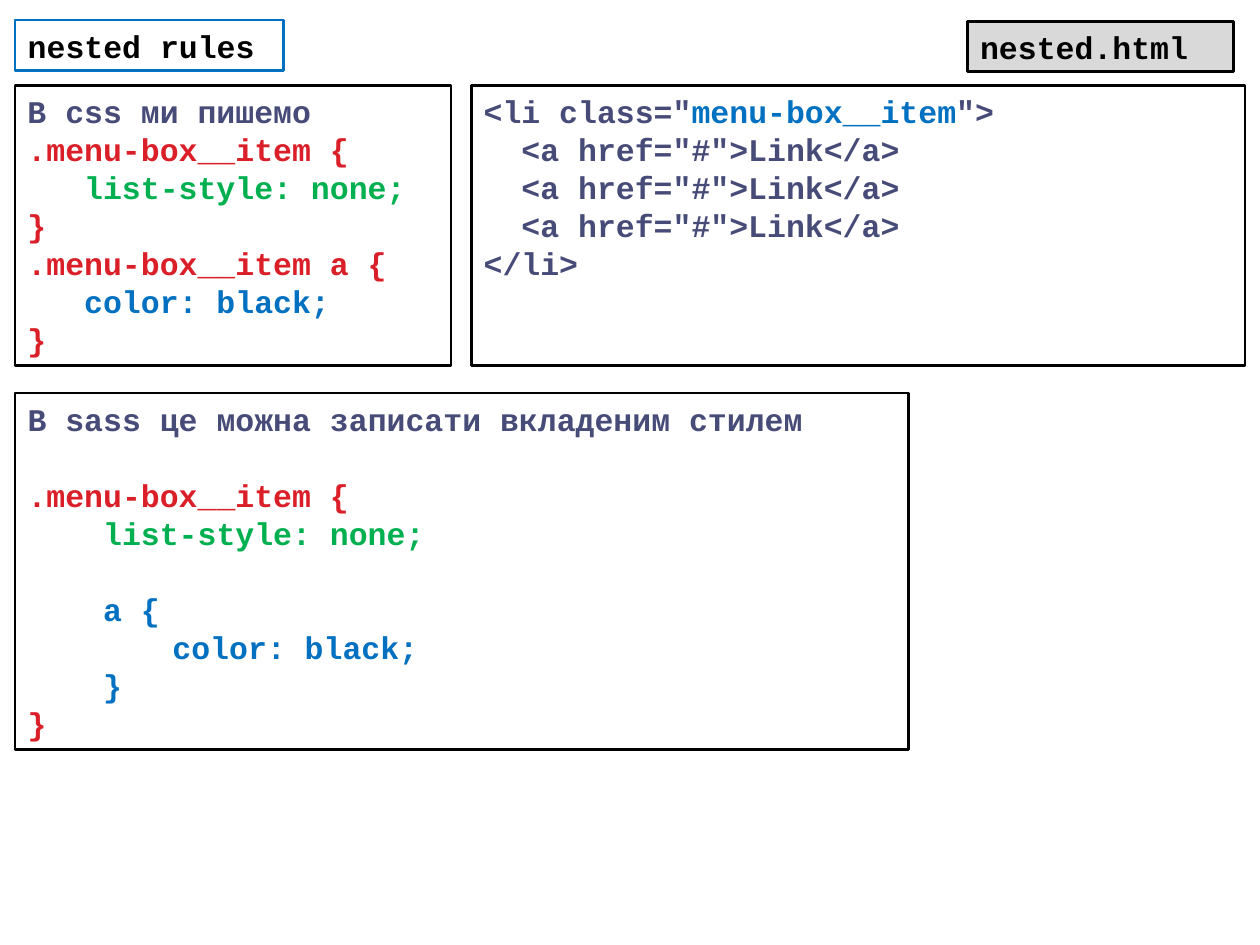
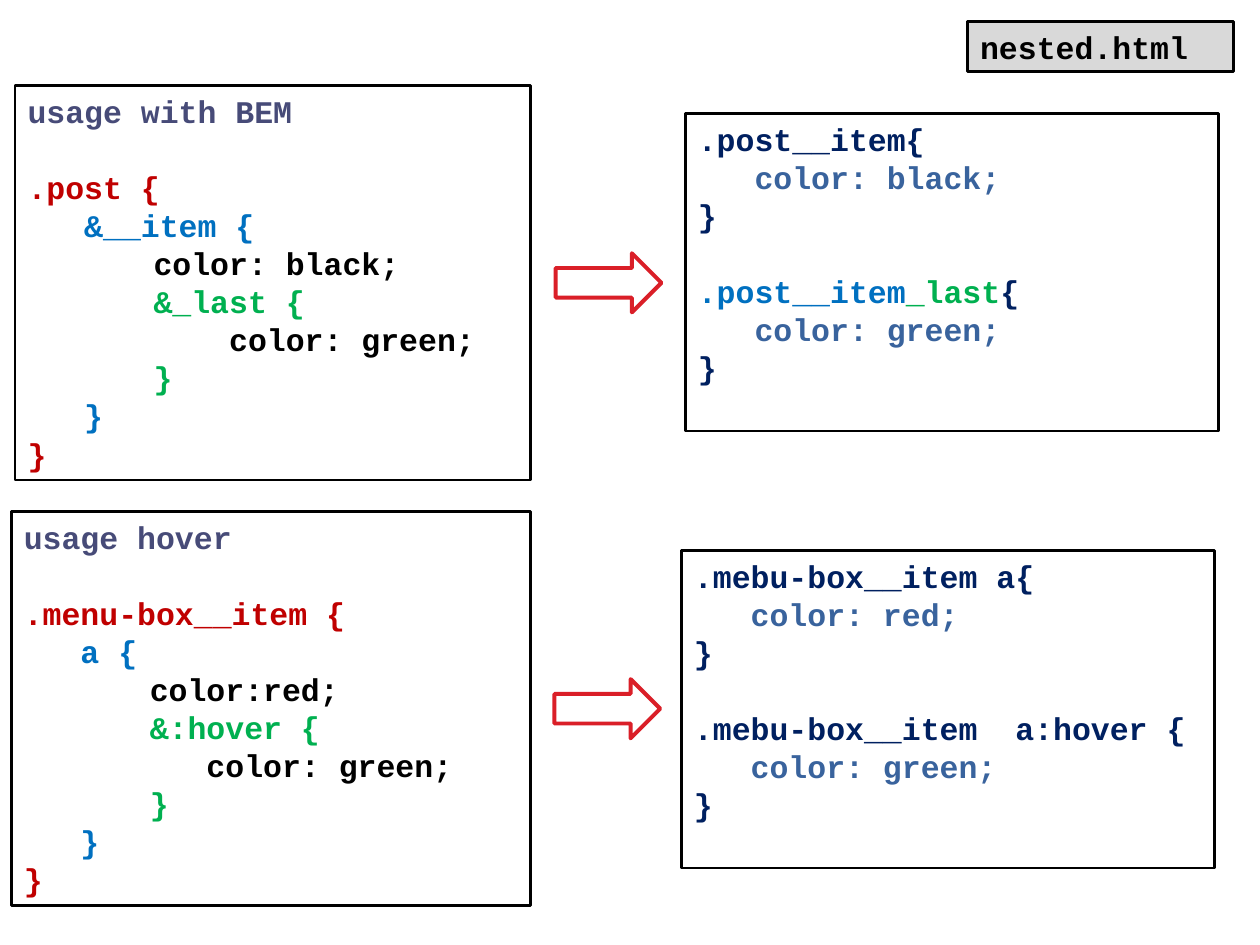
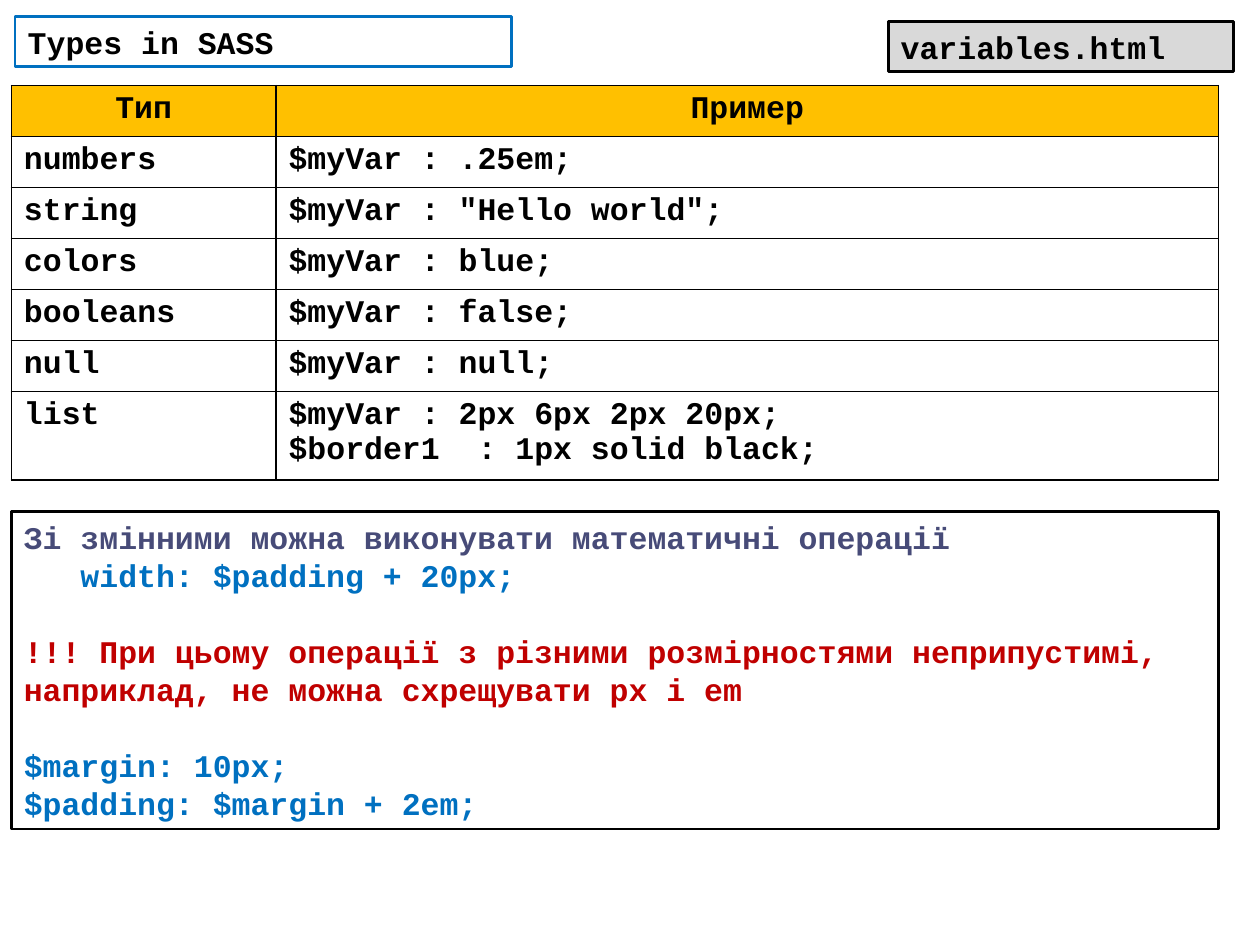
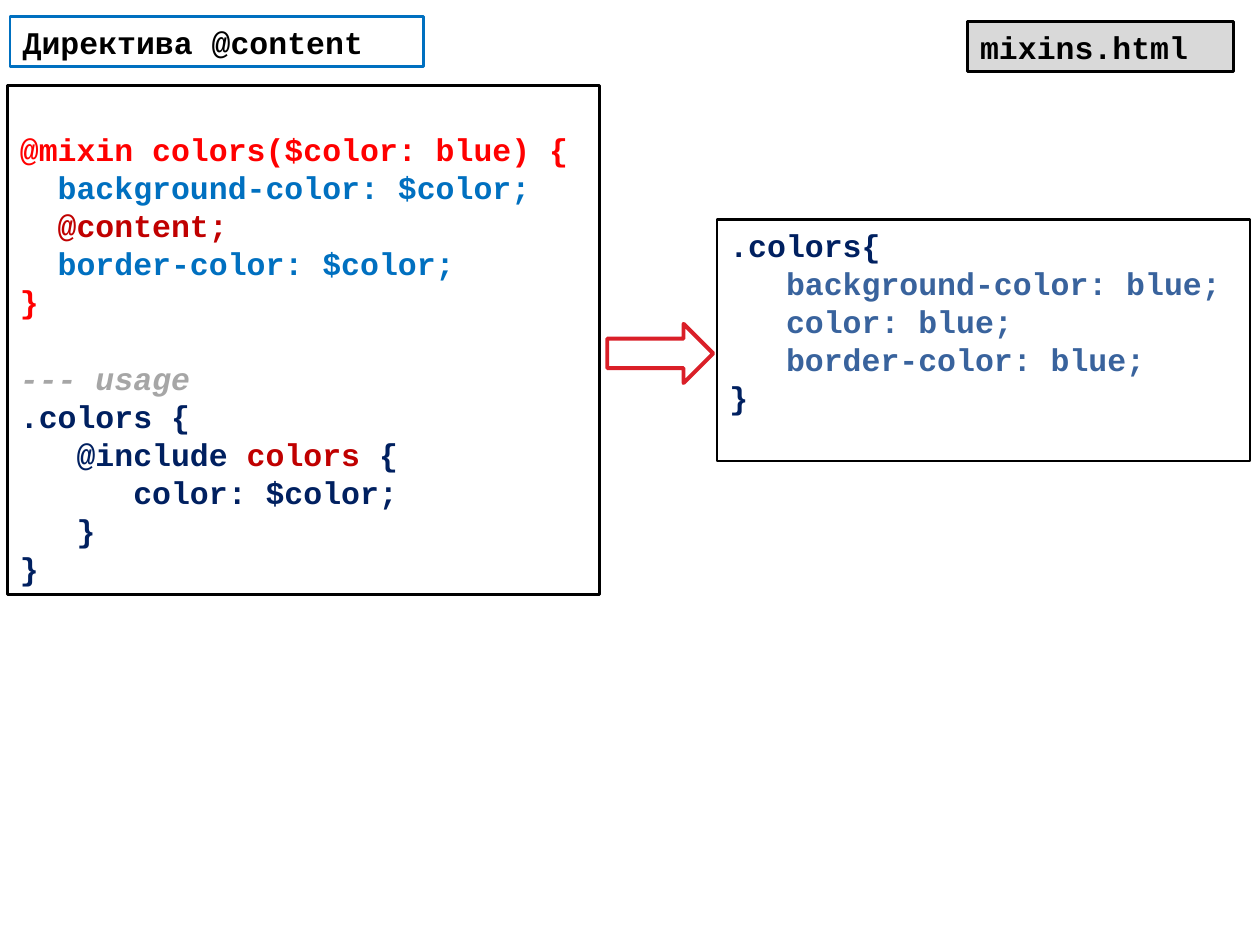
import dataclasses

import pptx
import pptx.dml.color
import pptx.enum.shapes
import pptx.enum.text
import pptx.oxml
import pptx.oxml.ns
import pptx.util

Inches = pptx.util.Inches
Pt = pptx.util.Pt
Shapes = pptx.enum.shapes.MSO_SHAPE
Align = pptx.enum.text.PP_ALIGN
Anchor = pptx.enum.text.MSO_ANCHOR


@dataclasses.dataclass(frozen=True)
class Theme:
    font: str = "Courier New"
    size: float = 18
    line_pitch: float = 21.75
    border: float = 1.5
    arrow_border: float = 2.25
    cell_border: float = 1
    black: str = "000000"
    slate: str = "474B78"
    crimson: str = "DA1F28"
    dark_red: str = "C00000"
    red: str = "FF0000"
    green: str = "00B050"
    blue: str = "0070C0"
    navy: str = "002060"
    steel: str = "39639D"
    gray: str = "A6A6A6"
    file_fill: str = "D9D9D9"
    header_fill: str = "FFC000"


THEME = Theme()
T = THEME

# Code indents in inches: a column is one monospaced character
COLUMN = 0.15
TWO, THREE, FOUR, SIX = (n * COLUMN for n in (2, 3, 4, 6))
TAB = 1.0
GAP = None  # an empty line before the next one


# Content: each code line is (indent, colour, text[, colour, text ...])
def rule(selector, *declarations):
    """Lines of a compiled CSS rule; selector is (colour, text, ...)."""
    return [(0, *selector),
            *[(THREE, T.steel, declaration) for declaration in declarations],
            (0, T.navy, "}")]


def nested_usage(heading, outer, inner, first, modifier, second, depth):
    """Lines of a Sass rule nested three levels deep."""
    return [
        (0, T.slate, heading), GAP,
        (0, T.dark_red, outer),
        (THREE, T.blue, inner),
        (TAB, T.black, first),
        (TAB, T.green, modifier),
        (TAB + depth, T.black, second),
        (TAB, T.green, "}"),
        (THREE, T.blue, "}"),
        (0, T.dark_red, "}"),
    ]


LINK = (TWO, T.slate, '<a href="#">Link</a>')

SLIDES = [
    {
        "title": ("nested rules", (0.12, 0.16, 2.13)),
        "file": ("nested.html", 2.11),
        "panels": [
            ((0.12, 0.68, 3.46, 2.22), [
                (0, T.slate, "В css ми пишемо"),
                (0, T.crimson, ".menu-box__item {"),
                (THREE, T.green, "list-style: none;"),
                (0, T.crimson, "}"),
                (0, T.crimson, ".menu-box__item a {"),
                (THREE, T.blue, "color: black;"),
                (0, T.crimson, "}"),
            ]),
            ((0.12, 3.12, 7.09, 2.83), [
                (0, T.slate, "В sass це можна записати вкладеним стилем"), GAP,
                (0, T.crimson, ".menu-box__item {"),
                (FOUR, T.green, "list-style: none;"), GAP,
                (FOUR, T.blue, "a {"),
                (TAB + COLUMN, T.blue, "color: black;"),
                (FOUR, T.blue, "}"),
                (0, T.crimson, "}"),
            ]),
            ((3.74, 0.68, 6.14, 2.22), [
                (0, T.slate, '<li class="', T.blue, "menu-box__item",
                 T.slate, '">'),
                LINK, LINK, LINK,
                (0, T.slate, "</li>"),
            ]),
        ],
    },
    {
        "file": ("nested.html", 2.11),
        "panels": [
            ((0.12, 0.68, 4.09, 3.13), nested_usage(
                "usage with BEM", ".post {", "&__item {", "color: black;",
                "&_last {", "color: green;", FOUR)),
            ((0.09, 4.06, 4.12, 3.13), nested_usage(
                "usage hover", ".menu-box__item {", "a {", "color:red;",
                "&:hover {", "color: green;", THREE)),
            ((5.44, 0.9, 4.23, 2.52), [
                *rule((T.navy, ".post__item{"), "color: black;"), GAP,
                *rule((T.blue, ".post__item", T.green, "_last", T.navy, "{"),
                      "color: green;"),
            ]),
            ((5.41, 4.37, 4.23, 2.52), [
                *rule((T.navy, ".mebu-box__item a{"), "color: red;"), GAP,
                *rule((T.navy, ".mebu-box__item  a:hover {"), "color: green;"),
            ]),
        ],
        "arrows": [(4.41, 2.01), (4.4, 5.39)],
    },
    {
        "title": ("Types in SASS", (0.12, 0.13, 3.94)),
        "file": ("variables.html", 2.74),
        "types": [
            ("Тип", ["Пример"]),
            ("numbers", ["$myVar : .25em;"]),
            ("string", ['$myVar : "Hello world";']),
            ("colors", ["$myVar : blue;"]),
            ("booleans", ["$myVar : false;"]),
            ("null", ["$myVar : null;"]),
            ("list", ["$myVar : 2px 6px 2px 20px;",
                      "$border1  : 1px solid black;"]),
        ],
        "panels": [
            ((0.09, 4.06, 9.58, 2.52), [
                (0, T.slate,
                 "Зі змінними можна виконувати математичні операції"),
                (THREE, T.blue, "width: $padding + 20px;"), GAP,
                (0, T.dark_red,
                 "!!! При цьому операції з різними розмірностями неприпустимі, "
                 "наприклад, не можна схрещувати px і em"), GAP,
                (0, T.blue, "$margin: 10px;"),
                (0, T.blue, "$padding: $margin + 2em;"),
            ]),
        ],
    },
    {
        "title": ("Директива @content", (0.08, 0.13, 3.28)),
        "file": ("mixins.html", 2.11),
        "panels": [
            ((0.06, 0.68, 4.7, 4.04), [
                GAP,
                (0, T.red, "@mixin colors($color: blue) {"),
                (TWO, T.blue, "background-color: $color;"),
                (TWO, T.dark_red, "@content;"),
                (TWO, T.blue, "border-color: $color;"),
                (0, T.red, "}"), GAP,
                (0, T.gray, "--- usage"),
                (0, T.navy, ".colors {"),
                (THREE, T.navy, "@include ", T.dark_red, "colors",
                 T.navy, " {"),
                (SIX, T.navy, "color: $color;"),
                (THREE, T.navy, "}"),
                (0, T.navy, "}"),
            ]),
            ((5.69, 1.74, 4.23, 1.92), rule(
                (T.navy, ".colors{"), "background-color: blue;",
                "color: blue;", "border-color: blue;")),
        ],
        "arrows": [(4.82, 2.57)],
    },
]

# Shared layout
LABEL_HEIGHT = 0.4
FILE_RIGHT, FILE_TOP = 9.79, 0.17
ARROW_SIZE = (0.84, 0.47)
INSET_X, INSET_Y = 0.1, 0.05
TABLE_BOX = (0.09, 0.68, 9.58, 3.13)
TYPE_COLUMN = 2.1
LIST_ROW = 0.7


def rgb(color):
    return pptx.dml.color.RGBColor.from_string(color)


def style_font(font, color=None):
    font.name = THEME.font
    font.size = Pt(THEME.size)
    font.bold = True
    font.italic = color == THEME.gray
    if color:
        font.color.rgb = rgb(color)


def style_outline(shape, color, width, fill=None):
    shape.line.color.rgb = rgb(color)
    shape.line.width = Pt(width)
    if fill:
        shape.fill.solid()
        shape.fill.fore_color.rgb = rgb(fill)
    else:
        shape.fill.background()


def add_outlined(slide, preset, box, color, width, fill=None):
    shape = slide.shapes.add_shape(preset, *map(Inches, box))
    shape.shadow.inherit = False
    style_outline(shape, color, width, fill)
    return shape


def write_lines(frame, lines):
    frame.word_wrap = True
    frame.auto_size = pptx.enum.text.MSO_AUTO_SIZE.NONE
    frame.vertical_anchor = Anchor.TOP
    frame.margin_left = frame.margin_right = Inches(INSET_X)
    frame.margin_top = frame.margin_bottom = Inches(INSET_Y)
    if lines[0] is GAP:
        frame.margin_top += Pt(THEME.line_pitch)
        lines = lines[1:]
    paragraph, gap = frame.paragraphs[0], 0
    for number, line in enumerate(lines):
        if line is GAP:
            gap = THEME.line_pitch
            continue
        if number:
            paragraph = frame.add_paragraph()
        indent, *parts = line
        colors, texts = parts[::2], parts[1::2]
        paragraph.alignment = Align.LEFT
        paragraph.line_spacing = Pt(THEME.line_pitch)
        paragraph.space_before = Pt(gap)
        paragraph._p.get_or_add_pPr().set("marL", str(Inches(indent)))
        style_font(paragraph.font, colors[0] if len(texts) == 1 else None)
        for color, text in zip(colors, texts):
            run = paragraph.add_run()
            run.text = text
            if len(texts) > 1:
                run.font.color.rgb = rgb(color)
        gap = 0


def place_title(slide, text, place):
    title = slide.shapes.title
    left, top, width = place
    title.left, title.top = Inches(left), Inches(top)
    title.width, title.height = Inches(width), Inches(LABEL_HEIGHT)
    style_outline(title, THEME.blue, THEME.border)
    write_lines(title.text_frame, [(0, THEME.black, text)])


def add_file_label(slide, text, width):
    label = add_outlined(
        slide, Shapes.RECTANGLE,
        (FILE_RIGHT - width, FILE_TOP, width, LABEL_HEIGHT),
        THEME.black, THEME.border, THEME.file_fill)
    write_lines(label.text_frame, [(0, THEME.black, text)])


def add_cell_borders(cell):
    properties = cell._tc.get_or_add_tcPr()
    for side in ("lnL", "lnR", "lnT", "lnB"):
        properties.append(pptx.oxml.parse_xml(
            f'<a:{side} {pptx.oxml.ns.nsdecls("a")} w="{Pt(THEME.cell_border)}">'
            f'<a:solidFill><a:srgbClr val="{THEME.black}"/></a:solidFill>'
            f'</a:{side}>'))


def add_types_table(slide, rows):
    left, top, width, height = TABLE_BOX
    types = slide.shapes.add_table(len(rows), 2, *map(Inches, TABLE_BOX)).table
    types.horz_banding = types.first_row = False
    types.columns[0].width = Inches(TYPE_COLUMN)
    types.columns[1].width = Inches(width - TYPE_COLUMN)
    for number, (kind, examples) in enumerate(rows):
        is_list = number == len(rows) - 1
        types.rows[number].height = Inches(
            LIST_ROW if is_list else (height - LIST_ROW) / (len(rows) - 1))
        for column, texts in enumerate(([kind], examples)):
            cell = types.cell(number, column)
            add_cell_borders(cell)
            if number == 0:
                cell.fill.solid()
                cell.fill.fore_color.rgb = rgb(THEME.header_fill)
            else:
                cell.fill.background()
            cell.text = "\n".join(texts)
            for paragraph in cell.text_frame.paragraphs:
                paragraph.alignment = Align.LEFT if number else Align.CENTER
                style_font(paragraph.font, THEME.black)


def build_slide(deck, content):
    title_only, blank = deck.slide_layouts[5], deck.slide_layouts[6]
    slide = deck.slides.add_slide(title_only if "title" in content else blank)
    if "title" in content:
        place_title(slide, *content["title"])
    add_file_label(slide, *content["file"])
    if "types" in content:
        add_types_table(slide, content["types"])
    for box, lines in content["panels"]:
        panel = add_outlined(slide, Shapes.RECTANGLE, box,
                             THEME.black, THEME.border)
        write_lines(panel.text_frame, lines)
    for corner in content.get("arrows", []):
        add_outlined(slide, Shapes.RIGHT_ARROW, corner + ARROW_SIZE,
                     THEME.crimson, THEME.arrow_border)


def main():
    deck = pptx.Presentation()
    deck.slide_width, deck.slide_height = Inches(10), Inches(7.5)
    for content in SLIDES:
        build_slide(deck, content)
    deck.save("out.pptx")


if __name__ == "__main__":
    main()
